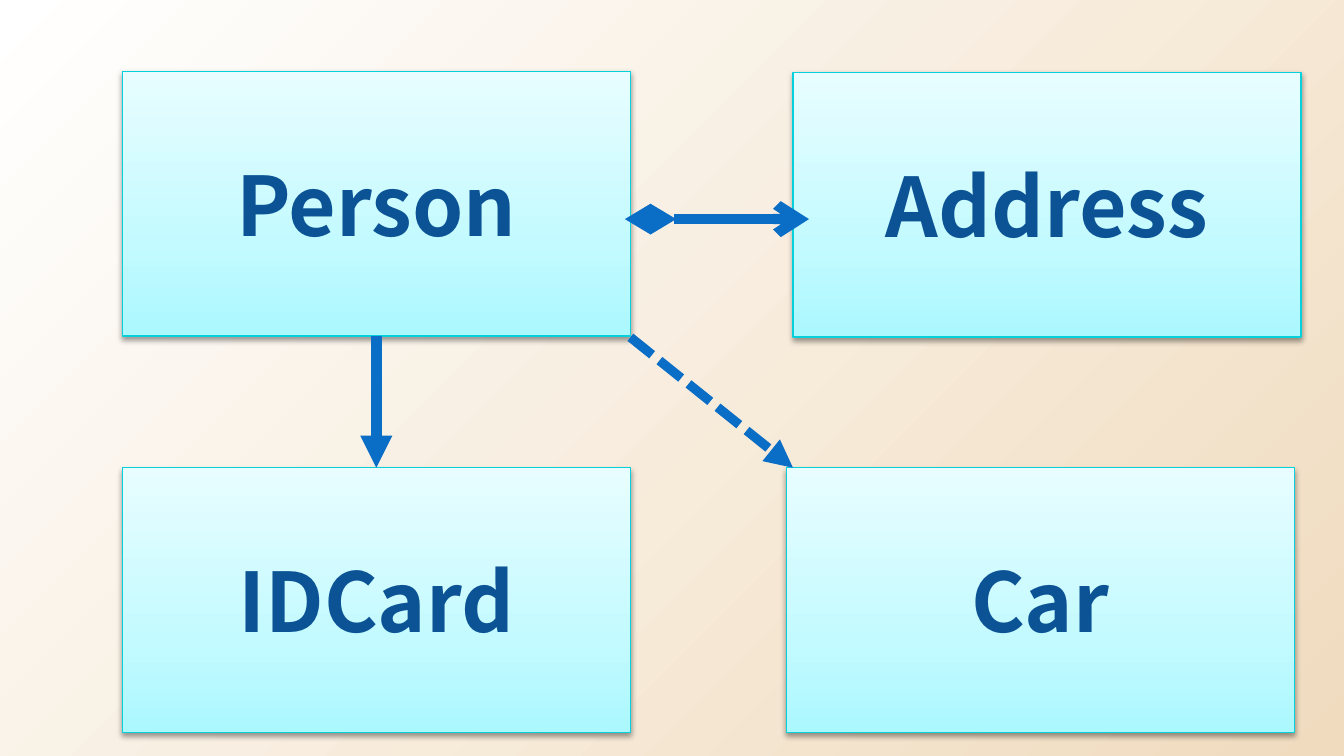
from dataclasses import dataclass
from typing import Optional

from lxml.etree import SubElement
from pptx import Presentation
from pptx.dml.color import RGBColor
from pptx.enum.dml import MSO_LINE
from pptx.enum.shapes import MSO_CONNECTOR, MSO_SHAPE
from pptx.enum.text import MSO_ANCHOR, PP_ALIGN
from pptx.oxml.ns import qn
from pptx.util import Pt


@dataclass(frozen=True)
class Theme:
    font: str = "Noto Sans CJK SC"
    name_size: float = 44
    name_color: str = "0B5394"
    border: str = "06D0D9"
    border_width: float = 0.75
    relation: str = "0A6DC6"
    shadow: str = "000000"
    class_stops: tuple = ((0, "ABF8FF"), (35, "C3FAFF"), (100, "E8FDFF"))
    backdrop_stops: tuple = ((0, "F0DBBE"), (100, "FFFFFF"))


@dataclass(frozen=True)
class ClassBox:
    name: str
    left: float
    top: float


@dataclass(frozen=True)
class Relation:
    start: tuple[float, float]
    end: tuple[float, float]
    width: float
    tail: str = "triangle"
    head: Optional[str] = None
    dash: Optional[MSO_LINE] = None


THEME = Theme()
BOX_WIDTH, BOX_HEIGHT = 272.2, 141.8
LEFT_COLUMN, LOWER_ROW = 65.5, 250.6

CLASSES = (
    ClassBox("Person", LEFT_COLUMN, 38.2),
    ClassBox("Address", 424.8, 38.9),
    ClassBox("IDCard", LEFT_COLUMN, LOWER_ROW),
    ClassBox("Car", 421.2, LOWER_ROW),
)
RELATIONS = (
    Relation((348.5, 117.4), (433.4, 117.4), 5.5, tail="arrow", head="diamond"),
    Relation((201.6, 180), (201.6, LOWER_ROW), 5.75),
    Relation((337.7, 180.7), (424.8, LOWER_ROW), 5, dash=MSO_LINE.SQUARE_DOT),
)


def add_node(parent, tag: str, **attributes):
    return SubElement(parent, qn(tag), {key: str(value) for key, value in attributes.items()})


def paint_gradient(owner, fill, stops: tuple):
    fill.gradient()
    gradient = owner.find(".//" + qn("a:gradFill"))
    for child in list(gradient):
        gradient.remove(child)
    stop_list = add_node(gradient, "a:gsLst")
    for percent, color in stops:
        stop = add_node(stop_list, "a:gs", pos=percent * 1000)
        add_node(stop, "a:srgbClr", val=color)
    return gradient


def paint_backdrop(slide) -> None:
    gradient = paint_gradient(slide.element, slide.background.fill, THEME.backdrop_stops)
    focus = add_node(gradient, "a:path", path="circle")
    add_node(focus, "a:fillToRect", l=100000, t=100000)


def draw_class(slide, box: ClassBox) -> None:
    shape = slide.shapes.add_shape(
        MSO_SHAPE.RECTANGLE, Pt(box.left), Pt(box.top), Pt(BOX_WIDTH), Pt(BOX_HEIGHT)
    )
    gradient = paint_gradient(shape.element, shape.fill, THEME.class_stops)
    add_node(gradient, "a:lin", ang=270 * 60000, scaled=0)
    shape.line.color.rgb = RGBColor.from_string(THEME.border)
    shape.line.width = Pt(THEME.border_width)

    shape.shadow.inherit = False
    effects = shape.element.spPr.find(qn("a:effectLst"))
    shadow = add_node(
        effects, "a:outerShdw", blurRad=Pt(3.1), dist=Pt(1.6), dir=90 * 60000, rotWithShape=0
    )
    shade = add_node(shadow, "a:srgbClr", val=THEME.shadow)
    add_node(shade, "a:alpha", val=38000)

    shape.text_frame.vertical_anchor = MSO_ANCHOR.MIDDLE
    label = shape.text_frame.paragraphs[0]
    label.text = box.name
    label.alignment = PP_ALIGN.CENTER
    label.font.name = THEME.font
    label.font.size = Pt(THEME.name_size)
    label.font.bold = True
    label.font.color.rgb = RGBColor.from_string(THEME.name_color)


def draw_relation(slide, relation: Relation) -> None:
    ends = [Pt(value) for value in relation.start + relation.end]
    connector = slide.shapes.add_connector(MSO_CONNECTOR.STRAIGHT, *ends)
    connector.line.color.rgb = RGBColor.from_string(THEME.relation)
    connector.line.width = Pt(relation.width)
    if relation.dash is not None:
        connector.line.dash_style = relation.dash
    properties = connector.element.spPr
    outline = properties.find(qn("a:ln"))
    if relation.head:
        add_node(outline, "a:headEnd", type=relation.head, w="med", len="lg")
    add_node(outline, "a:tailEnd", type=relation.tail, w="med", len="med")
    add_node(properties, "a:effectLst")


def main() -> None:
    deck = Presentation()
    deck.slide_width, deck.slide_height = Pt(720), Pt(405)
    slide = deck.slides.add_slide(deck.slide_layouts[6])
    paint_backdrop(slide)
    for box in CLASSES:
        draw_class(slide, box)
    for relation in RELATIONS:
        draw_relation(slide, relation)
    deck.save("out.pptx")


if __name__ == "__main__":
    main()
